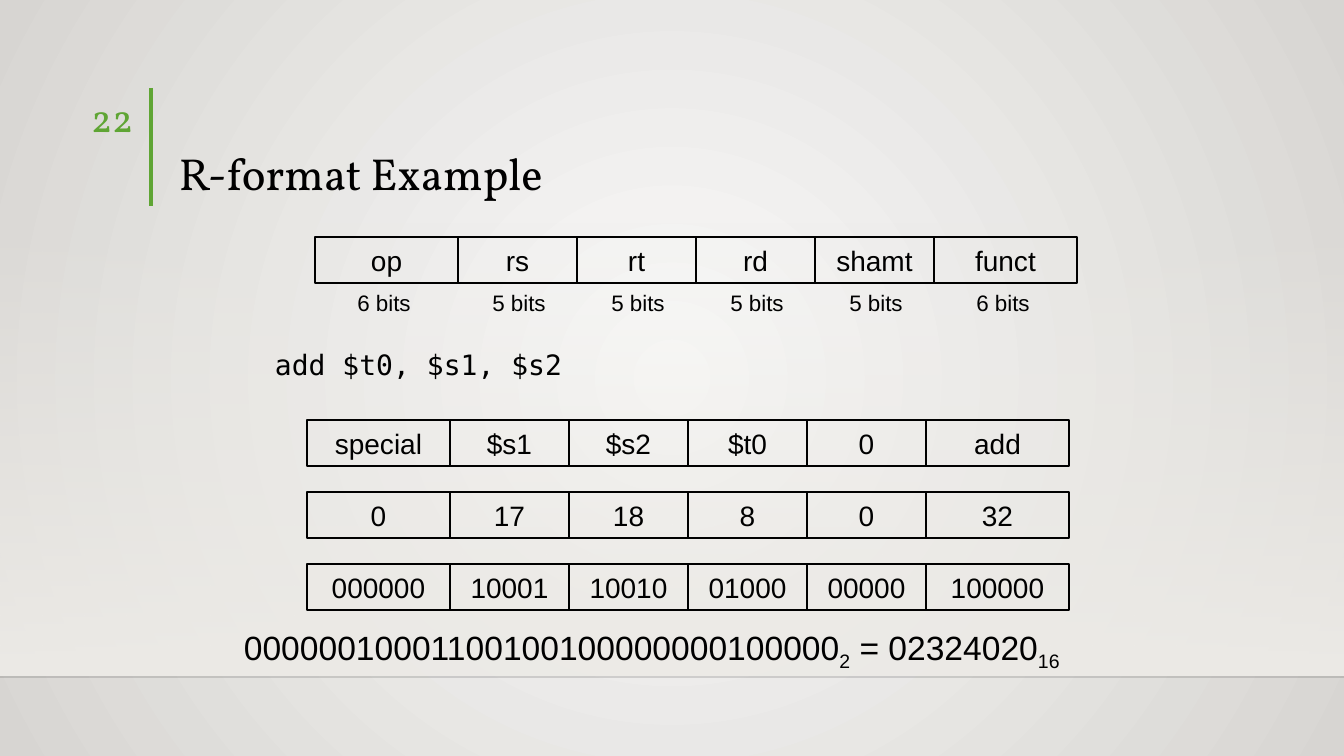
from itertools import accumulate
from lxml.etree import SubElement as Sub
from pptx import Presentation
from pptx.dml.color import RGBColor
from pptx.enum.shapes import MSO_CONNECTOR as Conn, MSO_SHAPE as Shape
from pptx.enum.text import MSO_ANCHOR as Anchor, PP_ALIGN as Align
from pptx.oxml.ns import qn
from pptx.util import Emu, Pt


def px(n):
    return Emu(round(n * 914400 / 100.8))


def tint(code):
    return RGBColor.from_string(code)


def fade(node, pct):
    Sub(node, qn("a:alpha")).set("val", str(pct * 1000))


class Deck:
    ink, leaf = "000000", "5FA534"
    sans, serif, mono = "Arial", "Vollkorn", "DejaVu Sans Mono"

    def __init__(self, wide, high):
        self.prs = Presentation()
        self.prs.slide_width, self.prs.slide_height = px(wide), px(high)
        self.slide = self.prs.slides.add_slide(self.prs.slide_layouts[6])
        self.shapes = self.slide.shapes

    def blend(self, fill, first, last):
        fill.gradient()
        for stop, pos, code in zip(fill.gradient_stops, (0, 1), (first, last)):
            stop.position = pos
            stop.color.rgb = tint(code)

    def back(self, first, last):
        self.blend(self.slide.background.fill, first, last)
        grad = self.slide.element.find(".//" + qn("a:gradFill"))
        grad.remove(grad.find(qn("a:lin")))
        ring = Sub(grad, qn("a:path"))
        ring.set("path", "circle")
        rect = Sub(ring, qn("a:fillToRect"))
        for side in "ltrb":
            rect.set(side, "50000")

    def rect(self, x, y, w, h):
        box = self.shapes.add_shape(Shape.RECTANGLE, px(x), px(y), px(w), px(h))
        box.shadow.inherit = False
        return box

    def panel(self, x, y, w, h, code):
        box = self.rect(x, y, w, h)
        box.line.fill.background()
        self.blend(box.fill, code, code)
        box.fill.gradient_angle = 270
        fade(box.element.find(".//" + qn("a:srgbClr")), 0)

    def rule(self, x, y, to_x, to_y, code, width, alpha=100):
        line = self.shapes.add_connector(Conn.STRAIGHT, px(x), px(y), px(to_x), px(to_y))
        line.line.color.rgb = tint(code)
        line.line.width = Pt(width)
        if alpha < 100:
            fade(line.element.find(".//" + qn("a:srgbClr")), alpha)
        Sub(line.element.spPr, qn("a:effectLst"))

    def put(self, box, runs, size, font=sans, code=ink, align=Align.LEFT, space=1.0):
        para = box.text_frame.paragraphs[0]
        para.alignment, para.line_spacing = align, space
        for word, base in runs:
            run = para.add_run()
            run.text = word
            run.font.size, run.font.name = Pt(size), font
            run.font.color.rgb = tint(code)
            if base:
                run.font._element.set("baseline", str(base * 1000))

    def text(self, x, y, w, h, runs, size, wrap=True, anchor=Anchor.TOP, **look):
        box = self.shapes.add_textbox(px(x), px(y), px(w), px(h))
        box.text_frame.word_wrap = wrap
        box.text_frame.vertical_anchor = anchor
        self.put(box, runs, size, **look)

    def cell(self, x, y, w, h, word):
        box = self.rect(x, y, w, h)
        box.fill.background()
        box.line.color.rgb = tint(self.ink)
        box.line.width = Pt(1.5)
        box.text_frame.vertical_anchor = Anchor.MIDDLE
        self.put(box, [(word, 0)], 20, align=Align.CENTER)

    def row(self, x, y, sizes, words):
        for left, w, word in zip(accumulate(sizes, initial=x), sizes, words):
            self.cell(left, y, w, 46, word)

    def bits(self, x, y, sizes, counts):
        for left, count in zip(accumulate(sizes, initial=x), counts):
            inset = 32 if count == 6 else 24
            self.text(left + inset, y, 74, 37, [(f"{count} bits", 0)], 16,
                      wrap=False, align=Align.CENTER)


def main():
    deck = Deck(1344, 756)
    deck.back("FAFAF9", "D7D5D2")
    deck.panel(0, 222, 1344, 454, "EDEBE7")
    deck.rule(0, 677, 1344, 677, "000001", 1, alpha=20)
    deck.rule(151, 88, 151, 206, deck.leaf, 3)
    deck.text(169, 89, 1049, 116, [("R-format Example", 0)], 32,
              anchor=Anchor.BOTTOM, font=deck.serif, space=0.9)
    deck.text(53, 88, 90, 55, [("22", 0)], 28,
              font=deck.serif, code=deck.leaf, align=Align.RIGHT)

    counts = 6, 5, 5, 5, 5, 6
    sizes = [143 if count == 6 else 119 for count in counts]
    deck.row(315, 237, sizes, ("op", "rs", "rt", "rd", "shamt", "funct"))
    deck.bits(315, 284, sizes, counts)
    deck.text(265, 336, 887, 72, [("add $t0, $s1, $s2", 0)], 20,
              font=deck.mono, space=1.2)

    rows = (
        ("special", "$s1", "$s2", "$t0", "0", "add"),
        ("0", "17", "18", "8", "0", "32"),
        ("000000", "10001", "10010", "01000", "00000", "100000"),
    )
    for i, words in enumerate(rows):
        deck.row(307, 420 + 72 * i, sizes, words)

    word = "".join(rows[-1])
    deck.text(234, 622, 897, 55,
              [(word, 0), ("2", -25), (" = 02324020", 0), ("16", -25)], 24)
    deck.prs.save("out.pptx")


if __name__ == "__main__":
    main()
